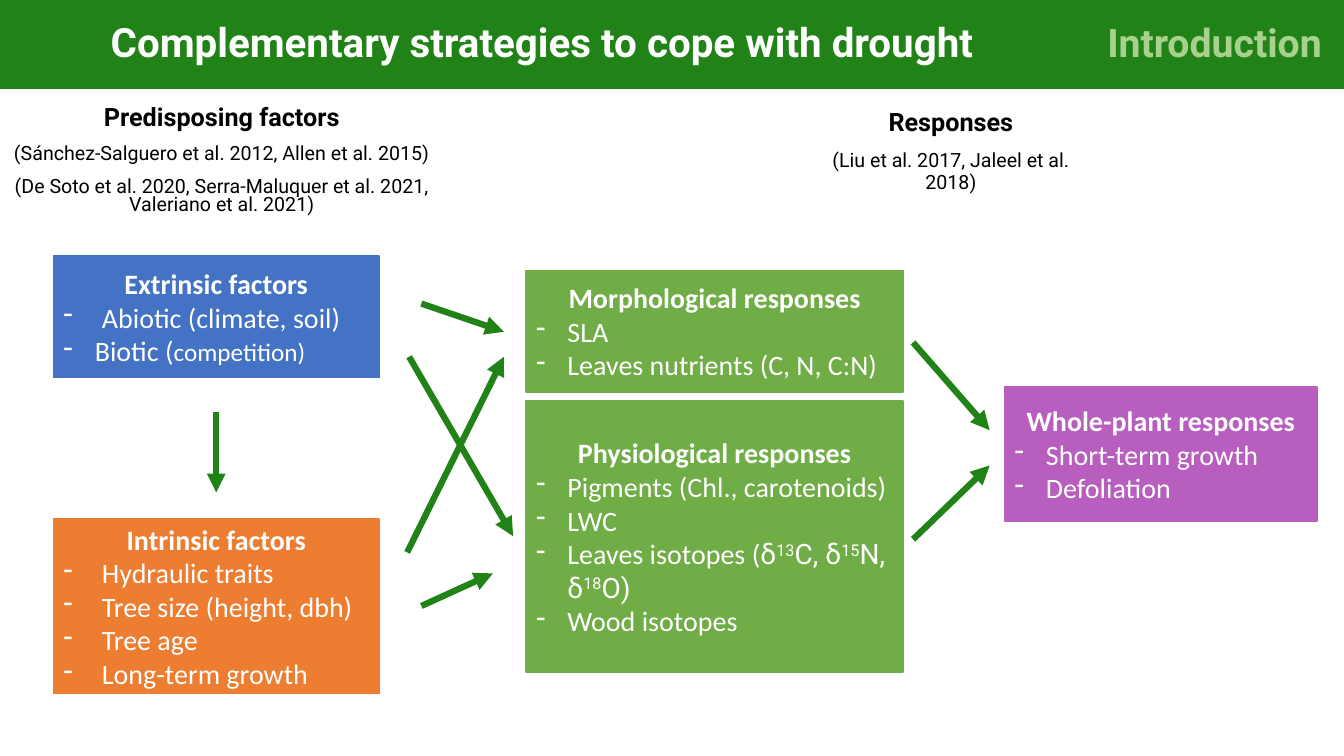
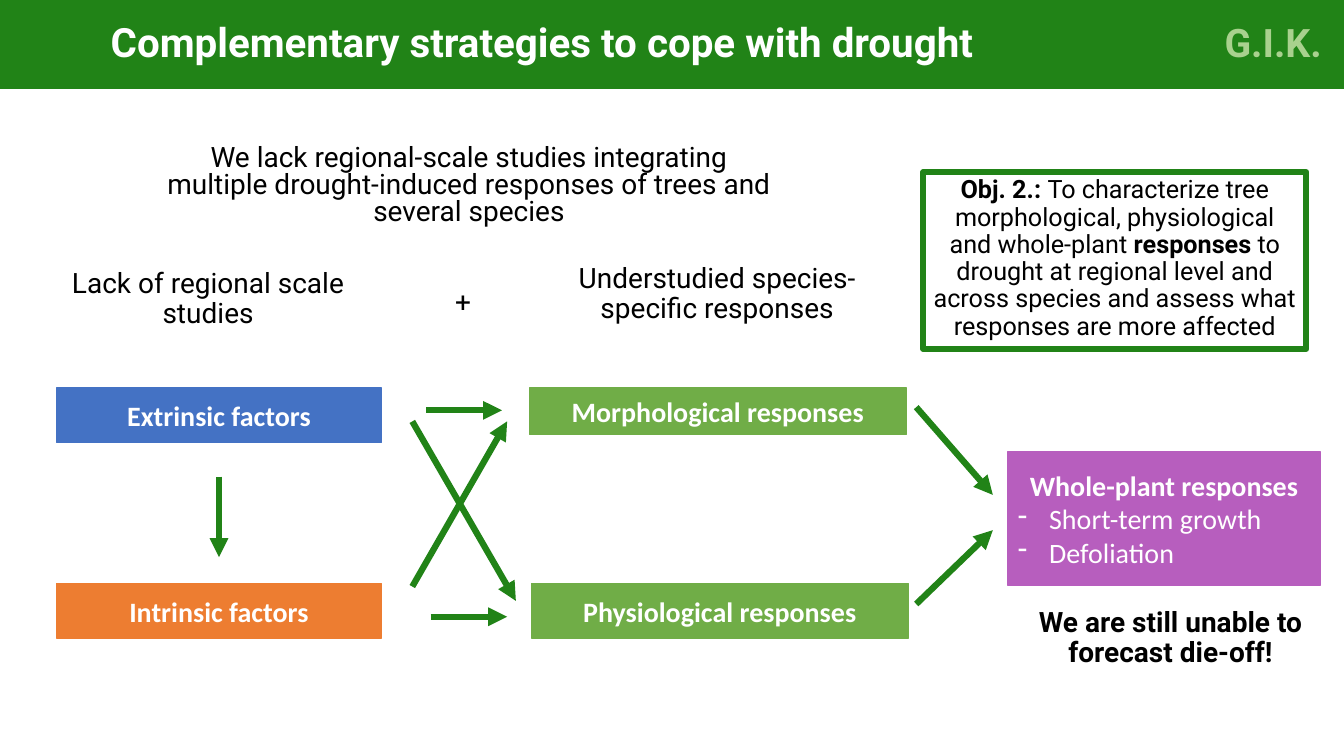
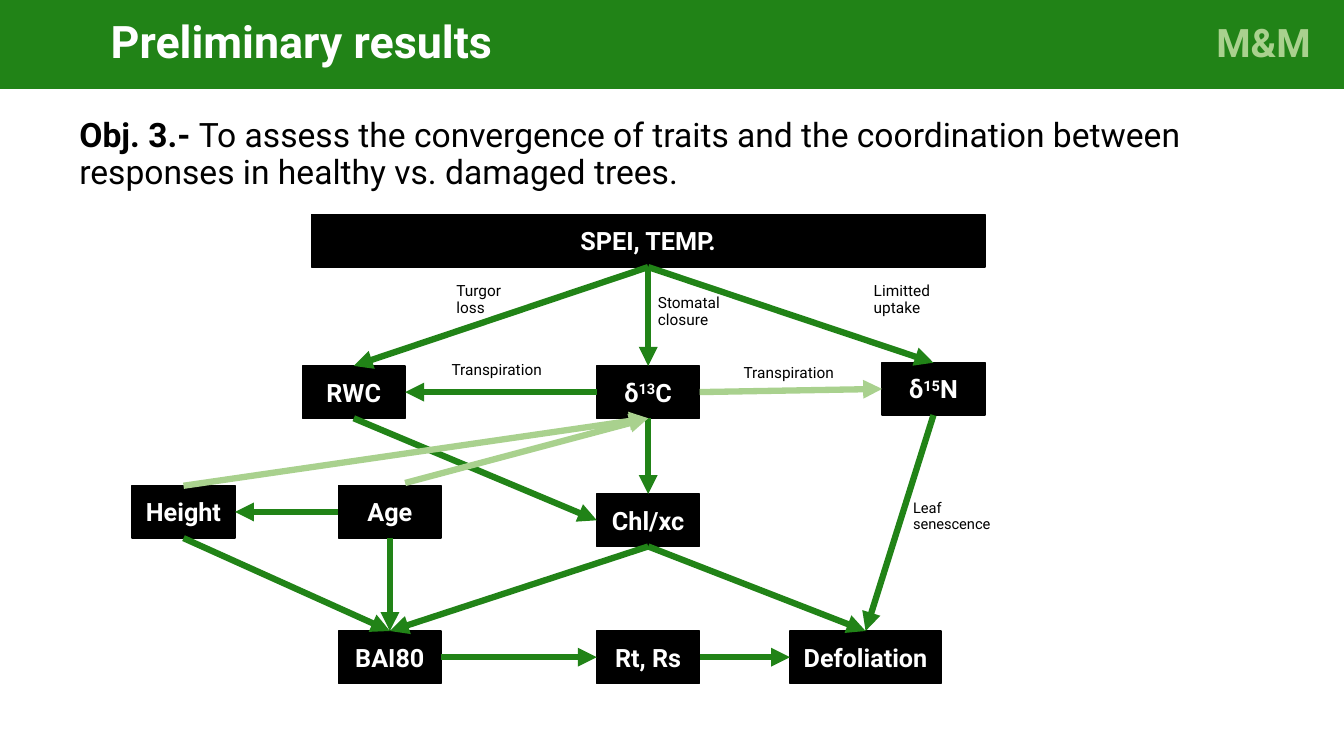
from collections import namedtuple
from dataclasses import dataclass, replace

from lxml.etree import SubElement
from pptx import Presentation
from pptx.dml.color import RGBColor
from pptx.enum.shapes import MSO_CONNECTOR as Link, MSO_SHAPE as Preset
from pptx.enum.text import MSO_ANCHOR as Anchor, MSO_AUTO_SIZE as Fit, PP_ALIGN as Align
from pptx.oxml.ns import qn
from pptx.util import Cm, Pt

GREEN = RGBColor(0x21, 0x83, 0x17)
PALE_GREEN = RGBColor(0xA9, 0xD1, 0x8E)
LEAF = RGBColor(0x70, 0xAD, 0x47)
BLUE = RGBColor(0x44, 0x72, 0xC4)
ORANGE = RGBColor(0xED, 0x7D, 0x31)
PURPLE = RGBColor(0xB7, 0x5E, 0xBE)
BLACK = RGBColor(0, 0, 0)
WHITE = RGBColor(0xFF, 0xFF, 0xFF)

TOP, LEFT, BOTTOM, RIGHT = range(4)
Box = namedtuple("Box", "left top width height")


@dataclass(frozen=True)
class Style:
    """Look of a paragraph and its runs."""
    size: float
    font: str = "Roboto"
    color: RGBColor = BLACK
    bold: bool = False
    raised: bool = False
    align: Align = Align.CENTER
    spacing: float = 0.9
    before: float = 10
    indent: float = 0


TITLE = Style(28.8, color=WHITE, bold=True, align=Align.LEFT)
SECTION = Style(28, color=PALE_GREEN, bold=True, align=Align.RIGHT)
HEADING = Style(18, bold=True)
CITATION = Style(14)
STATEMENT = Style(20)
OBJECTIVE = Style(24, align=Align.LEFT)
NOTE = Style(11, align=Align.LEFT)
BOX_TITLE = Style(20, "Calibri", WHITE, True, spacing=1, before=0)
BULLET = replace(BOX_TITLE, bold=False, align=Align.LEFT, indent=0.79)
WIDE_BULLET = replace(BULLET, indent=0.97)
NODE = Style(18, color=WHITE, bold=True, spacing=1, before=0)

HEADER_BOX = Box(0, 0, 26.92, 2.24)
SECTION_BOX = Box(26.92, 0, 6.95, 2.24)


def place(box):
    """Return the box as lengths."""
    return [Cm(value) for value in box]


def write(frame, paras):
    """Fill a text frame with (style, span, ...) paragraphs; a span is a text or (text, changes)."""
    frame.word_wrap = True
    frame.auto_size = Fit.NONE
    for index, (style, *spans) in enumerate(paras):
        para = frame.add_paragraph() if index else frame.paragraphs[0]
        para.alignment = style.align
        para.line_spacing = style.spacing
        para.space_before = Pt(style.before if index else 0)
        if style.indent:
            props = para._p.get_or_add_pPr()
            props.set("marL", str(Cm(style.indent)))
            props.set("indent", str(-Cm(style.indent)))
            SubElement(props, qn("a:buChar")).set("char", "-")
        for span in spans:
            text, changes = (span, {}) if isinstance(span, str) else span
            look = replace(style, **changes)
            run = para.add_run()
            run.text = text
            run.font.size = Pt(look.size)
            run.font.name = look.font
            run.font.bold = look.bold
            run.font.color.rgb = look.color
            if look.raised:
                run._r.get_or_add_rPr().set("baseline", "30000")


def add_text(slide, box, *paras):
    """Add a wrapped text box."""
    write(slide.shapes.add_textbox(*place(box)).text_frame, paras)


def add_box(slide, box, paras, fill=None, line=None, weight=1, anchor=Anchor.MIDDLE):
    """Add a rectangle with text."""
    shape = slide.shapes.add_shape(Preset.RECTANGLE, *place(box))
    shape.shadow.inherit = False
    if fill is None:
        shape.fill.background()
    else:
        shape.fill.solid()
        shape.fill.fore_color.rgb = fill
    if line is None:
        shape.line.fill.background()
    else:
        shape.line.color.rgb = line
        shape.line.width = Pt(weight)
    shape.text_frame.vertical_anchor = anchor
    write(shape.text_frame, paras)
    return shape


def add_card(slide, box, color, title, *bullets):
    """Add a coloured box with a title and bullets."""
    add_box(slide, box, [(BOX_TITLE, title), *bullets], color, color)


def add_arrow(slide, start, end, color=GREEN):
    """Add a straight arrow between two points."""
    arrow = slide.shapes.add_connector(Link.STRAIGHT, *place((*start, *end)))
    arrow.line.color.rgb = color
    arrow.line.width = Pt(4.5)
    props = arrow._element.spPr
    SubElement(props.find(qn("a:ln")), qn("a:tailEnd")).set("type", "triangle")
    SubElement(props, qn("a:effectLst"))
    return arrow


def add_header(deck, title, section, size=28.8, section_gap=0.56):
    """Start a slide with its title band and section band."""
    slide = deck.slides.add_slide(deck.slide_layouts[5])
    holder = slide.shapes.title
    holder.left, holder.top, holder.width, holder.height = place(HEADER_BOX)
    holder.fill.solid()
    holder.fill.fore_color.rgb = GREEN
    holder.text_frame.vertical_anchor = Anchor.MIDDLE
    holder.text_frame.margin_left = Cm(2.79)
    write(holder.text_frame, [(replace(TITLE, size=size), title)])
    band = add_box(slide, SECTION_BOX, [(SECTION, section)], GREEN)
    band.text_frame.margin_right = Cm(section_gap)
    return slide


def add_factors(slide, box, extrinsic_height, intrinsic_height, extrinsic=(), intrinsic=()):
    """Stack the extrinsic and intrinsic factors, with an arrow down."""
    left, top, width, height = box
    add_card(slide, Box(left, top, width, extrinsic_height), BLUE, "Extrinsic factors", *extrinsic)
    middle, start = left + width / 2, top + extrinsic_height + 0.86
    add_arrow(slide, (middle, start), (middle, start + 2.03))
    add_card(slide, Box(left, top + height - intrinsic_height, width, intrinsic_height),
             ORANGE, "Intrinsic factors", *intrinsic)


def add_whole_plant(slide, box):
    """Add the whole-plant box and the two arrows leading to it."""
    add_card(slide, box, PURPLE, "Whole-plant responses",
             (BULLET, "Short-term growth"), (BULLET, "Defoliation"))
    for start, end in ((-1.12, 1.09), (3.84, 1.98)):
        add_arrow(slide, (box.left - 2.31, box.top + start), (box.left - 0.38, box.top + end))


def add_trait_network(slide, box):
    """Draw the network of traits, its arrows and their labels."""
    def at(x, y, width=2.59, height=1.32):
        """Return a box measured from the network's corner."""
        return Box(box.left + x, box.top + y, width, height)

    raised = {"raised": True}
    places = {
        "climate": (at(4.52, 0, 16.97), ["SPEI, TEMP."]),
        "carbon": (at(11.71, 3.81), ["δ", ("13", raised), "C"]),
        "nitrogen": (at(18.9, 3.73), ["δ", ("15", raised), "N"]),
        "age": (at(5.2, 6.83), ["Age"]),
        "height": (at(0, 6.83), ["Height"]),
        "water": (at(4.29, 3.81), ["RWC"]),
        "pigment": (at(11.71, 7.04), ["Chl/xc"]),
        "growth": (at(5.2, 10.49), ["BAI80"]),
        "defoliation": (at(16.58, 10.49, 3.81), ["Defoliation"]),
        "resilience": (at(11.71, 10.49), ["Rt, Rs"]),
    }
    nodes = {name: add_box(slide, spot, [(NODE, *spans)], BLACK, BLACK)
             for name, (spot, spans) in places.items()}

    links = [
        ("climate", BOTTOM, "carbon", TOP, GREEN),
        ("climate", BOTTOM, "nitrogen", TOP, GREEN),
        ("climate", BOTTOM, "water", TOP, GREEN),
        ("carbon", LEFT, "water", RIGHT, GREEN),
        ("nitrogen", BOTTOM, "defoliation", TOP, GREEN),
        ("carbon", RIGHT, "nitrogen", LEFT, PALE_GREEN),
        ("water", BOTTOM, "pigment", LEFT, GREEN),
        ("carbon", BOTTOM, "pigment", TOP, GREEN),
        ("pigment", BOTTOM, "growth", TOP, GREEN),
        ("growth", RIGHT, "resilience", LEFT, GREEN),
        ("pigment", BOTTOM, "defoliation", TOP, GREEN),
        ("age", BOTTOM, "growth", TOP, GREEN),
        ("age", LEFT, "height", RIGHT, GREEN),
        ("height", BOTTOM, "growth", TOP, GREEN),
        ("height", TOP, "carbon", BOTTOM, PALE_GREEN),
        ("resilience", RIGHT, "defoliation", LEFT, GREEN),
    ]
    for source, source_side, target, target_side, color in links:
        arrow = add_arrow(slide, (0, 0), (0, 0), color)
        arrow.begin_connect(nodes[source], source_side)
        arrow.end_connect(nodes[target], target_side)
    age_start = at(6.88, 6.76)[:2]
    age_arrow = add_arrow(slide, age_start, age_start, PALE_GREEN)
    age_arrow.end_connect(nodes["carbon"], BOTTOM)

    for text, spot, size in (
        ("Stomatal closure", at(13, 1.91, 2.11), 11),
        ("Limitted uptake", at(18.44, 1.6, 2.11), 11),
        ("Turgor loss", at(7.92, 1.6, 2.11), 11),
        ("Transpiration", at(7.8, 3.58, 2.79, 0.74), 11),
        ("Transpiration", at(15.16, 3.66, 2.79, 0.74), 11),
        ("Leaf senescence", at(19.43, 7.09), 10.5),
    ):
        add_text(slide, spot, (replace(NOTE, size=size), text))


def build_introduction(deck):
    """Build the slide on factors and responses."""
    slide = add_header(deck, "Complementary strategies to cope with drought", "Introduction")
    tight_heading, tight_citation = (replace(style, spacing=0.8) for style in (HEADING, CITATION))
    add_text(slide, Box(0, 2.57, 11.18, 3.1),
             (tight_heading, "Predisposing factors"),
             (tight_citation, "(Sánchez-Salguero et al. 2012, Allen et al. 2015)"),
             (tight_citation, "(De Soto et al. 2020, Serra-Maluquer et al. 2021, "
                              "Valeriano et al. 2021)"))
    add_text(slide, Box(20.32, 2.64, 7.29, 2.79),
             (HEADING, "Responses"),
             (CITATION, "(Liu et al. 2017, Jaleel et al. 2018)"))
    add_factors(
        slide, Box(1.35, 6.45, 8.2, 11.02), 3.07, 4.39,
        [(WIDE_BULLET, "Abiotic (climate, soil)"),
         (BULLET, "Biotic (", ("competition)", {"size": 18}))],
        [(WIDE_BULLET, text) for text in ("Hydraulic traits", "Tree size (height, dbh)",
                                          "Tree age", "Long-term growth")])
    add_card(slide, Box(13.26, 6.81, 9.5, 3.07), LEAF, "Morphological responses",
             (BULLET, "SLA"), (BULLET, "Leaves nutrients (C, N, C:N)"))
    roboto = {"font": "Roboto"}
    raised = {"font": "Roboto", "raised": True}
    add_card(slide, Box(13.26, 10.11, 9.5, 6.83), LEAF, "Physiological responses",
             (BULLET, "Pigments (Chl., carotenoids)"),
             (BULLET, "LWC"),
             (BULLET, "Leaves isotopes (", ("δ", roboto), ("13", raised), ("C, δ", roboto),
              ("15", raised), ("N, δ", roboto), ("18", raised), ("O)", roboto)),
             (BULLET, "Wood isotopes"))
    for start, end in (((10.62, 7.65), (12.7, 8.36)), ((10.62, 15.27), (12.42, 14.45)),
                       ((10.26, 13.92), (12.7, 8.99)), ((10.31, 8.99), (12.93, 13.51))):
        add_arrow(slide, start, end)
    add_whole_plant(slide, Box(25.32, 9.75, 7.87, 3.38))


def build_gaps(deck):
    """Build the slide on knowledge gaps and the second objective."""
    slide = add_header(deck, "Complementary strategies to cope with drought", "G.I.K.")
    add_factors(slide, Box(1.42, 9.78, 8.2, 6.3), 1.37, 1.37)
    add_card(slide, Box(13.34, 9.78, 9.5, 1.17), LEAF, "Morphological responses")
    add_card(slide, Box(13.39, 14.71, 9.5, 1.37), LEAF, "Physiological responses")
    for start, end in (((10.74, 10.34), (12.65, 10.34)), ((10.85, 15.54), (12.78, 15.54)),
                       ((10.39, 14.78), (12.78, 10.62)), ((10.39, 10.62), (13, 15.14))):
        add_arrow(slide, start, end)
    add_whole_plant(slide, Box(25.4, 11.38, 7.87, 3.38))
    add_text(slide, Box(3.73, 3.56, 16.18, 2.46),
             (replace(STATEMENT, spacing=0.8),
              "We lack regional-scale studies integrating multiple drought-induced "
              "responses of trees and several species"))
    add_text(slide, Box(1.42, 6.65, 7.65, 2.46), (STATEMENT, "Lack of regional scale studies"))
    add_text(slide, Box(10.77, 7.14, 1.8, 1.17), (STATEMENT, "+"))
    add_text(slide, Box(14.25, 6.53, 7.65, 3.05),
             (STATEMENT, "Understudied species-specific responses"))
    add_text(slide, Box(25.4, 15.21, 8.2, 2.24),
             (replace(STATEMENT, bold=True), "We are still unable to forecast die-off!"))
    plain = {"bold": False}
    add_box(slide, Box(23.27, 4.34, 9.65, 4.45),
            [(HEADING, "Obj. 2.: ",
              ("To characterize tree morphological, physiological and whole-plant ", plain),
              "responses ",
              ("to drought at regional level and across species and assess what "
               "responses are more affected", plain))],
            line=GREEN, weight=4.5, anchor=Anchor.TOP)


def build_results(deck):
    """Build the slide on the third objective."""
    slide = add_header(deck, "Preliminary results", "M&M", 32, 0.84)
    add_trait_network(slide, Box(3.33, 5.41, 21.49, 11.81))
    add_text(slide, Box(1.75, 2.87, 30.35, 3.18),
             (OBJECTIVE, ("Obj. 3.- ", {"bold": True}),
              "To assess the convergence of traits and the coordination between "
              "responses in healthy vs. damaged trees."))


def main():
    """Build and save the deck."""
    deck = Presentation()
    deck.slide_width, deck.slide_height = Cm(33.87), Cm(19.05)
    build_introduction(deck)
    build_gaps(deck)
    build_results(deck)
    deck.save("out.pptx")


if __name__ == "__main__":
    main()
